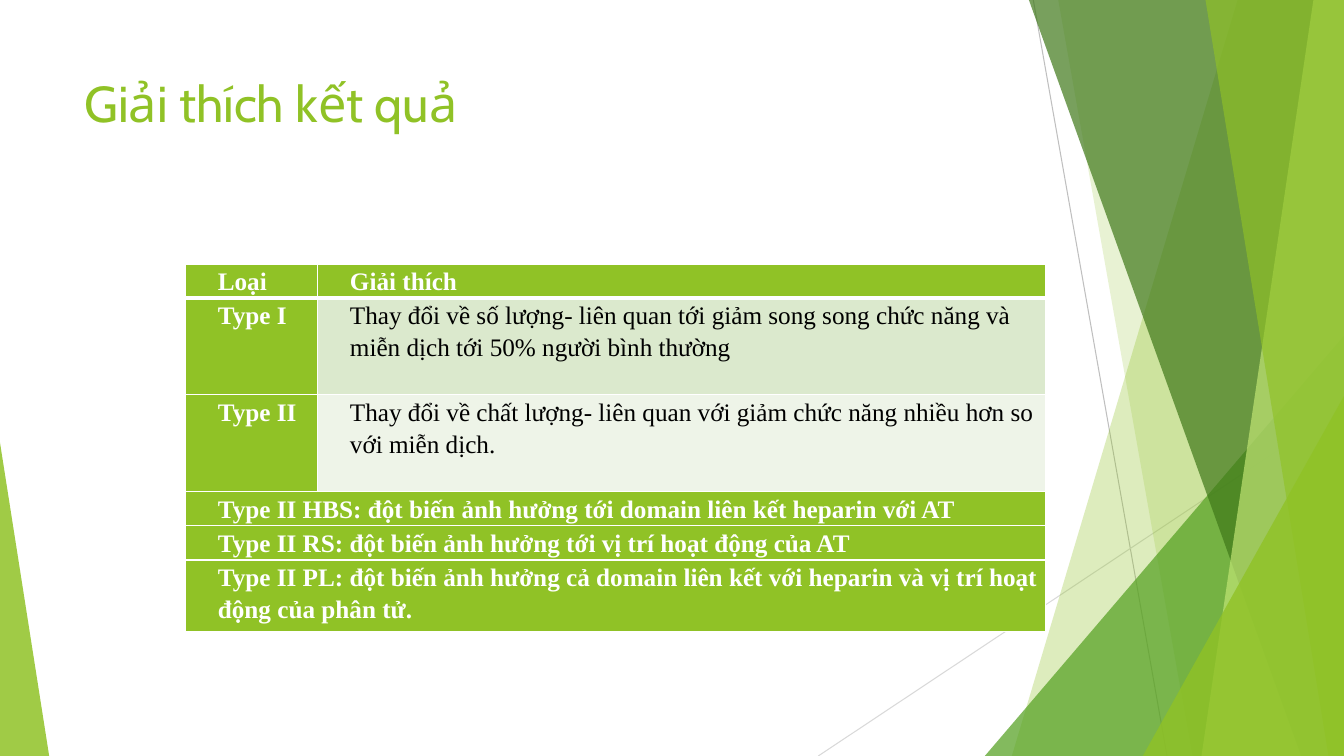
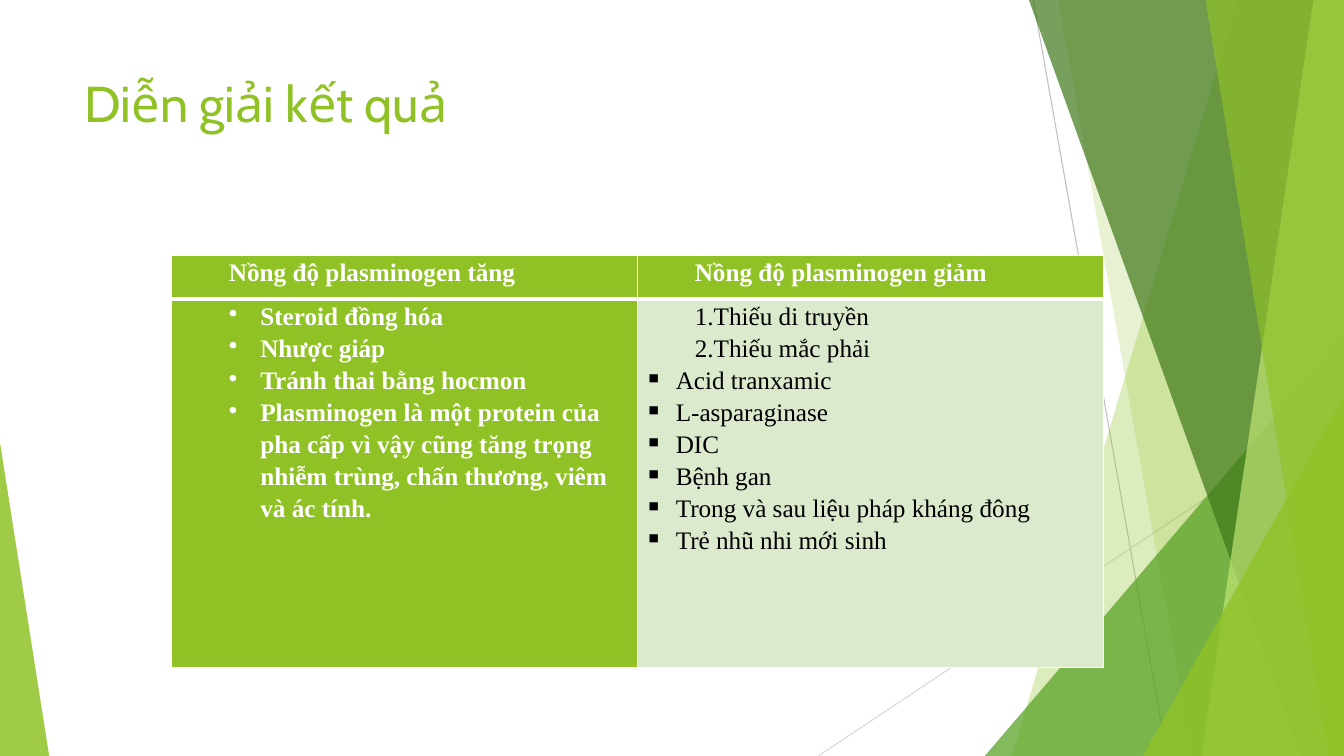
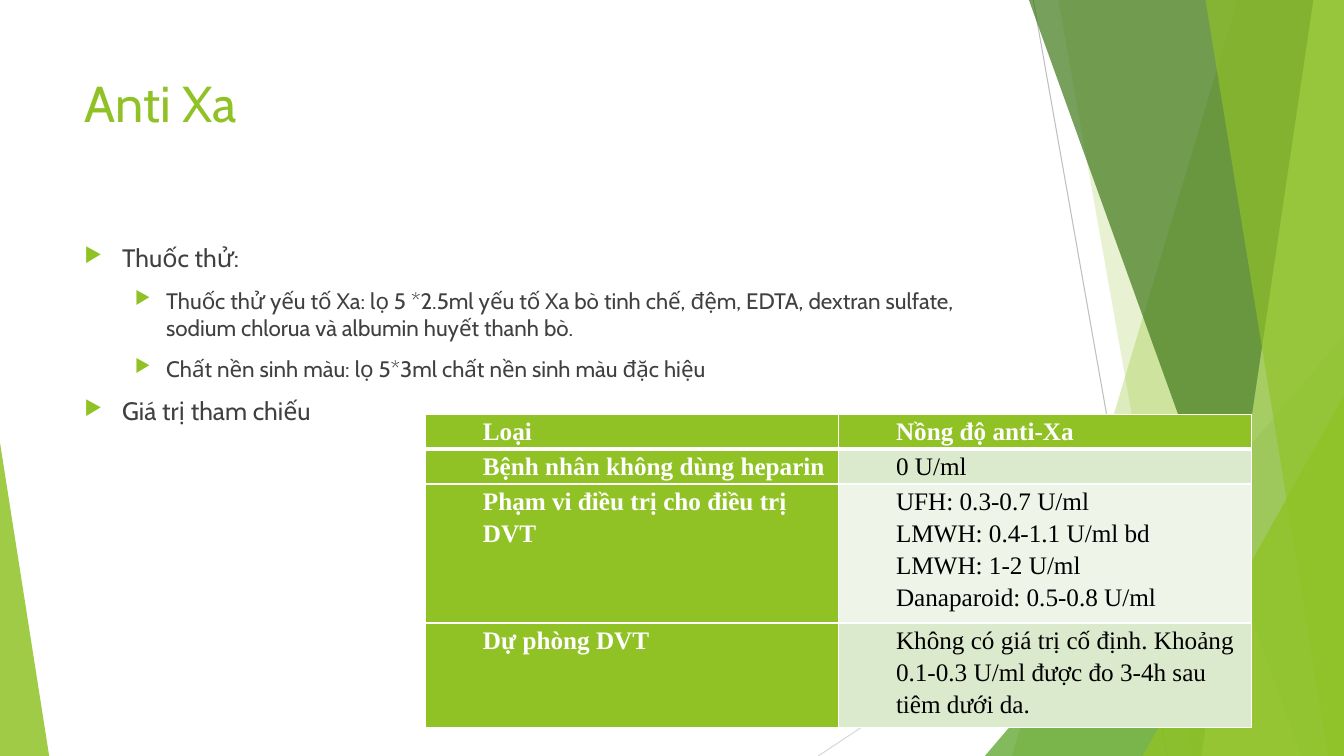
from dataclasses import dataclass
from lxml.etree import SubElement as Sub
from pptx import Presentation
from pptx.dml.color import RGBColor
from pptx.enum.shapes import MSO_CONNECTOR as Link, MSO_SHAPE as Preset
from pptx.enum.text import MSO_ANCHOR as Anchor, PP_ALIGN as Align
from pptx.oxml.ns import qn
from pptx.util import Cm, Pt

# Shared look
WIDE, HIGH = 33.87, 19.05
GREEN = RGBColor(0x90, 0xC2, 0x26)
LEAF = RGBColor(0x54, 0xA0, 0x21)
DARK = RGBColor(0x3F, 0x78, 0x19)
LIME = RGBColor(0xC0, 0xE4, 0x74)
BANDS = (RGBColor(0xEE, 0xF4, 0xE8), RGBColor(0xDB, 0xE9, 0xCD))
WHITE = RGBColor(0xFF, 0xFF, 0xFF)
BLACK = RGBColor(0, 0, 0)
GREY = RGBColor(0x40, 0x40, 0x40)
SANS, SERIF = "Cabin", "Times New Roman"


@dataclass(frozen=True)
class Ray:
    """A straight background line."""
    start: tuple[float, float]
    end: tuple[float, float]
    color: RGBColor


@dataclass(frozen=True)
class Wedge:
    """A full-height band whose left edge slants from top to foot."""
    top: float
    foot: float
    color: RGBColor
    alpha: int


@dataclass(frozen=True)
class Peak:
    """A right triangle standing on the bottom edge."""
    left: float
    top: float
    width: float
    tip: float
    color: RGBColor
    alpha: int


@dataclass(frozen=True)
class Para:
    text: str
    left: float
    hang: float = 0
    mark: str = ""
    size: int = 18


@dataclass(frozen=True)
class Grid:
    left: float
    top: float
    cols: list[float]
    rows: list[float]
    cells: list[list[list[Para]]]


DECOR = (
    Ray((26.04, 0), (29.41, HIGH), RGBColor(0xBF, 0xBF, 0xBF)),
    Ray((WIDE, 10.24), (20.62, HIGH), RGBColor(0xD9, 0xD9, 0xD9)),
    Wedge(31.19, 25.5, GREEN, 30),
    Wedge(26.67, 30.05, GREEN, 20),
    Peak(24.82, 8.46, 9.05, 1, LEAF, 72),
    Wedge(25.93, 32.79, DARK, 70),
    Wedge(33.1, 30.28, LIME, 70),
    Wedge(30.38, 33.48, GREEN, 65),
    Peak(28.8, 9.98, 5.07, 1, GREEN, 80),
    Peak(0, 11.15, 1.24, 0, GREEN, 85),
)


def paint(shape, color: RGBColor, alpha: int) -> None:
    shape.shadow.inherit = False
    shape.fill.solid()
    shape.fill.fore_color.rgb = color
    shape.line.fill.background()
    tint = shape.element.spPr.find(qn("a:solidFill"))[0]
    Sub(tint, qn("a:alpha"), val=str(alpha * 1000))


def draw_ray(shapes, ray: Ray) -> None:
    ends = [Cm(v) for v in (*ray.start, *ray.end)]
    line = shapes.add_connector(Link.STRAIGHT, *ends)
    line.line.color.rgb = ray.color
    line.line.width = Pt(0.75)
    Sub(line.element.spPr, qn("a:effectLst"))


def draw_wedge(shapes, wedge: Wedge) -> None:
    path = shapes.build_freeform(Cm(wedge.top), 0)
    path.add_line_segments([(Cm(WIDE), 0), (Cm(WIDE), Cm(HIGH)),
                            (Cm(wedge.foot), Cm(HIGH))])
    paint(path.convert_to_shape(), wedge.color, wedge.alpha)


def draw_peak(shapes, peak: Peak) -> None:
    shape = shapes.add_shape(Preset.ISOSCELES_TRIANGLE, Cm(peak.left),
                             Cm(peak.top), Cm(peak.width),
                             Cm(HIGH - peak.top))
    shape.adjustments[0] = peak.tip
    paint(shape, peak.color, peak.alpha)


def add_decor(slide) -> None:
    """Draw the background once and hand it to the shared layout."""
    layout = slide.slide_layout
    for holder in list(layout.placeholders)[1:]:
        layout.shapes.element.remove(holder.element)
    tools = {Ray: draw_ray, Wedge: draw_wedge, Peak: draw_peak}
    for part in DECOR:
        tools[type(part)](slide.shapes, part)
    for shape in list(slide.shapes)[1:]:
        layout.shapes.element.append(shape.element)


def style(font, name: str, size: int, color: RGBColor,
          bold: bool = False) -> None:
    font.name, font.size, font.bold = name, Pt(size), bold
    font.color.rgb = color


def add_title(slide, text: str) -> None:
    title = slide.shapes.title
    title.left, title.top = Cm(1.88), Cm(1.7)
    title.width, title.height = Cm(23.88), Cm(3.66)
    title.text_frame.text = text
    title.text_frame.vertical_anchor = Anchor.TOP
    para = title.text_frame.paragraphs[0]
    para.alignment = Align.LEFT
    style(para.font, SANS, 36, GREEN)


def add_paras(frame, items: list[Para], name: str, color: RGBColor,
              bold: bool = False, lead: float | None = None, gap: int = 0,
              tint: RGBColor | None = None) -> None:
    for i, item in enumerate(items):
        para = frame.add_paragraph() if i else frame.paragraphs[0]
        para.text = item.text
        para.alignment = Align.LEFT
        if lead:
            para.line_spacing = lead
        if i and gap:
            para.space_before = Pt(gap)
        props = para._p.get_or_add_pPr()
        props.set("marL", str(Cm(item.left)))
        props.set("indent", str(Cm(-item.hang)))
        if item.mark:
            if tint:
                Sub(Sub(props, qn("a:buClr")), qn("a:srgbClr"), val=str(tint))
                Sub(props, qn("a:buSzPct"), val="80000")
            Sub(props, qn("a:buChar"), char=item.mark)
        style(para.font, name, item.size, color, bold)


def add_edges(cell, row: int) -> None:
    """White rules all round, with a thick one under the header row."""
    props = cell._tc.get_or_add_tcPr()
    thick = {0: "B", 1: "T"}.get(row)
    for i, side in enumerate("LRTB"):
        width = Pt(3 if side == thick else 1)
        edge = props.makeelement(qn(f"a:ln{side}"), {"w": str(width)})
        Sub(Sub(edge, qn("a:solidFill")), qn("a:srgbClr"), val=str(WHITE))
        props.insert(i, edge)


def add_grid(slide, grid: Grid) -> None:
    table = slide.shapes.add_table(
        len(grid.rows), len(grid.cols), Cm(grid.left), Cm(grid.top),
        Cm(sum(grid.cols)), Cm(sum(grid.rows))).table
    table.first_row = table.horz_banding = False
    for col, width in zip(table.columns, grid.cols):
        col.width = Cm(width)
    for r, (height, texts) in enumerate(zip(grid.rows, grid.cells)):
        table.rows[r].height = Cm(height)
        if len(texts) < len(grid.cols):
            table.cell(r, 0).merge(table.cell(r, len(grid.cols) - 1))
        for c in range(len(grid.cols)):
            cell = table.cell(r, c)
            head = r == 0 or c == 0
            cell.margin_left = cell.margin_right = Cm(0.18)
            cell.margin_top = cell.margin_bottom = 0
            cell.fill.solid()
            cell.fill.fore_color.rgb = GREEN if head else BANDS[r % 2]
            add_edges(cell, r)
            if c < len(texts):
                add_paras(cell.text_frame, texts[c], SERIF,
                          WHITE if head else BLACK, head, lead=1.15)


def plain(left: float, *texts: str) -> list[Para]:
    return [Para(text, left) for text in texts]


def dots(left: float, mark: str, *texts: str) -> list[Para]:
    return [Para(text, left, 0.79, mark) for text in texts]


# Table contents
NEAR, FAR = 0.64, 1.27
TYPES = Grid(4.67, 6.65, [3.33, 18.34], [0.86, 2.44, 2.44, 0.86, 0.86, 1.8], [
    [plain(NEAR, text) for text in row] for row in (
        ("Loại", "Giải thích"),
        ("Type I", "Thay đổi về số lượng- liên quan tới giảm song song "
         "chức năng và miễn dịch tới 50% người bình thường"),
        ("Type II", "Thay đổi về chất lượng- liên quan với giảm chức năng "
         "nhiều hơn so với miễn dịch."),
        ("Type II HBS: đột biến ảnh hưởng tới domain liên kết heparin "
         "với AT",),
        ("Type II RS: đột biến ảnh hưởng tới vị trí hoạt động của AT",),
        ("Type II PL: đột biến ảnh hưởng cả domain liên kết với heparin "
         "và vị trí hoạt động của phân tử.",),
    )])
LEVELS = Grid(4.32, 6.43, [11.74] * 2, [1.1, 9.28], [
    [plain(FAR, "Nồng độ plasminogen tăng"),
     plain(FAR, "Nồng độ plasminogen giảm")],
    [dots(2.06, "•", "Steroid đồng hóa", "Nhược giáp",
          "Tránh thai bằng hocmon",
          "Plasminogen là một protein của pha cấp vì vậy cũng tăng trọng "
          "nhiễm trùng, chấn thương, viêm và ác tính."),
     plain(FAR, "1.Thiếu di truyền", "2.Thiếu mắc phải")
     + dots(0.79, "▪", "Acid tranxamic", "L-asparaginase", "DIC",
            "Bệnh gan", "Trong và sau liệu pháp kháng đông",
            "Trẻ nhũ nhi mới sinh")],
])
RANGES = Grid(10.72, 10.44, [10.41] * 2, [0.74, 0.74, 3.12, 1.55], [
    [plain(FAR, "Loại"), plain(FAR, "Nồng độ anti-Xa")],
    [plain(FAR, "Bệnh nhân không dùng heparin"), plain(FAR, "0 U/ml")],
    [plain(FAR, "Phạm vi điều trị cho điều trị DVT"),
     plain(FAR, "UFH: 0.3-0.7 U/ml", "LMWH: 0.4-1.1 U/ml bd",
           "LMWH: 1-2 U/ml", "Danaparoid: 0.5-0.8 U/ml")],
    [plain(FAR, "Dự phòng DVT"),
     plain(FAR, "Không có giá trị cố định. Khoảng 0.1-0.3 U/ml được đo "
           "3-4h sau tiêm dưới da.")],
])
NOTES = [
    Para("Thuốc thử:", 0.95, 0.95, "▶"),
    Para("Thuốc thử yếu tố Xa: lọ 5 *2.5ml yếu tố Xa bò tinh chế, đệm, EDTA, "
         "dextran sulfate, sodium chlorua và albumin huyết thanh bò.",
         2.06, 0.79, "▶", 16),
    Para("Chất nền sinh màu: lọ 5*3ml chất nền sinh màu đặc hiệu",
         2.06, 0.79, "▶", 16),
    Para("Giá trị tham chiếu", 0.95, 0.95, "▶"),
]


def add_notes(slide) -> None:
    box = slide.shapes.add_textbox(Cm(1.88), Cm(5.99), Cm(23.88), Cm(10.77))
    box.text_frame.word_wrap = True
    add_paras(box.text_frame, NOTES, SANS, GREY, gap=10, tint=GREEN)


def main() -> None:
    deck = Presentation()
    deck.slide_width, deck.slide_height = Cm(WIDE), Cm(HIGH)
    pages = (("Giải thích kết quả", TYPES), ("Diễn giải kết quả", LEVELS),
             ("Anti Xa", RANGES))
    for i, (title, grid) in enumerate(pages):
        slide = deck.slides.add_slide(deck.slide_layouts[5])
        if i == 0:
            add_decor(slide)
        add_title(slide, title)
        if grid is RANGES:
            add_notes(slide)
        add_grid(slide, grid)
    deck.save("out.pptx")


if __name__ == "__main__":
    main()
